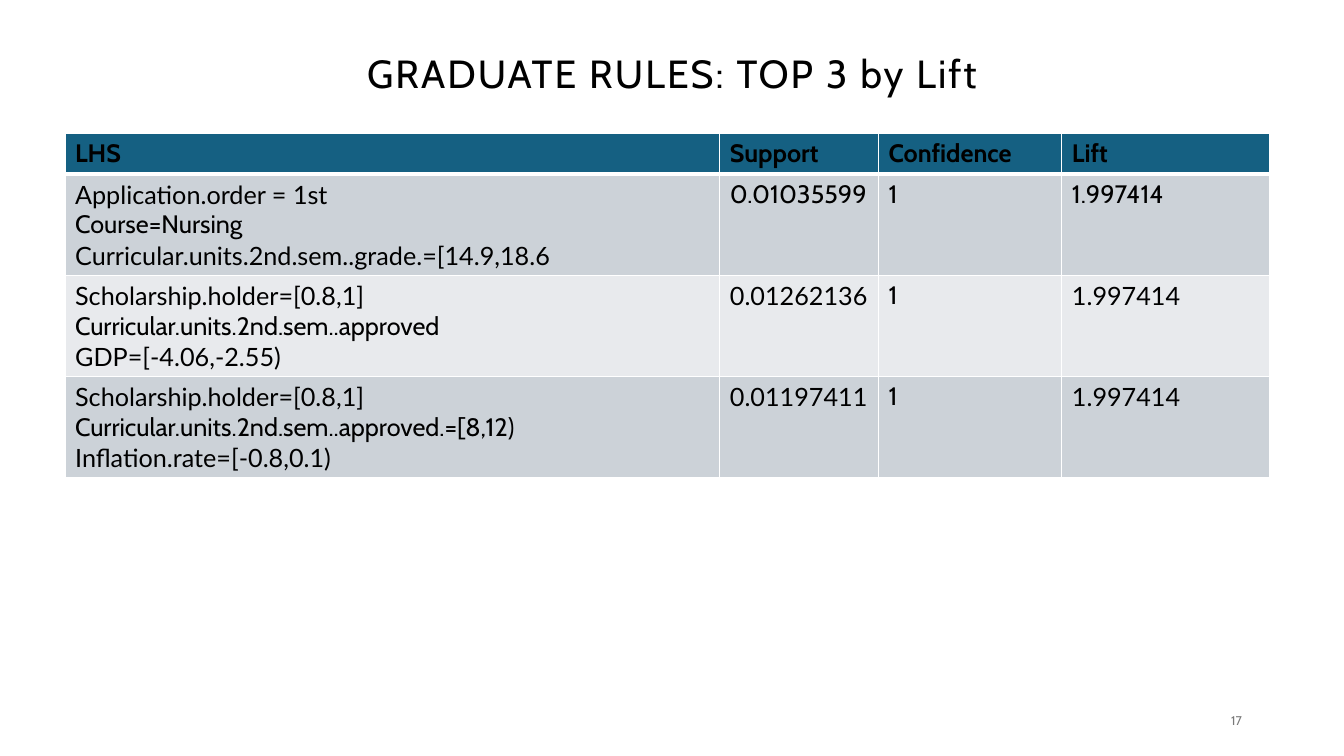
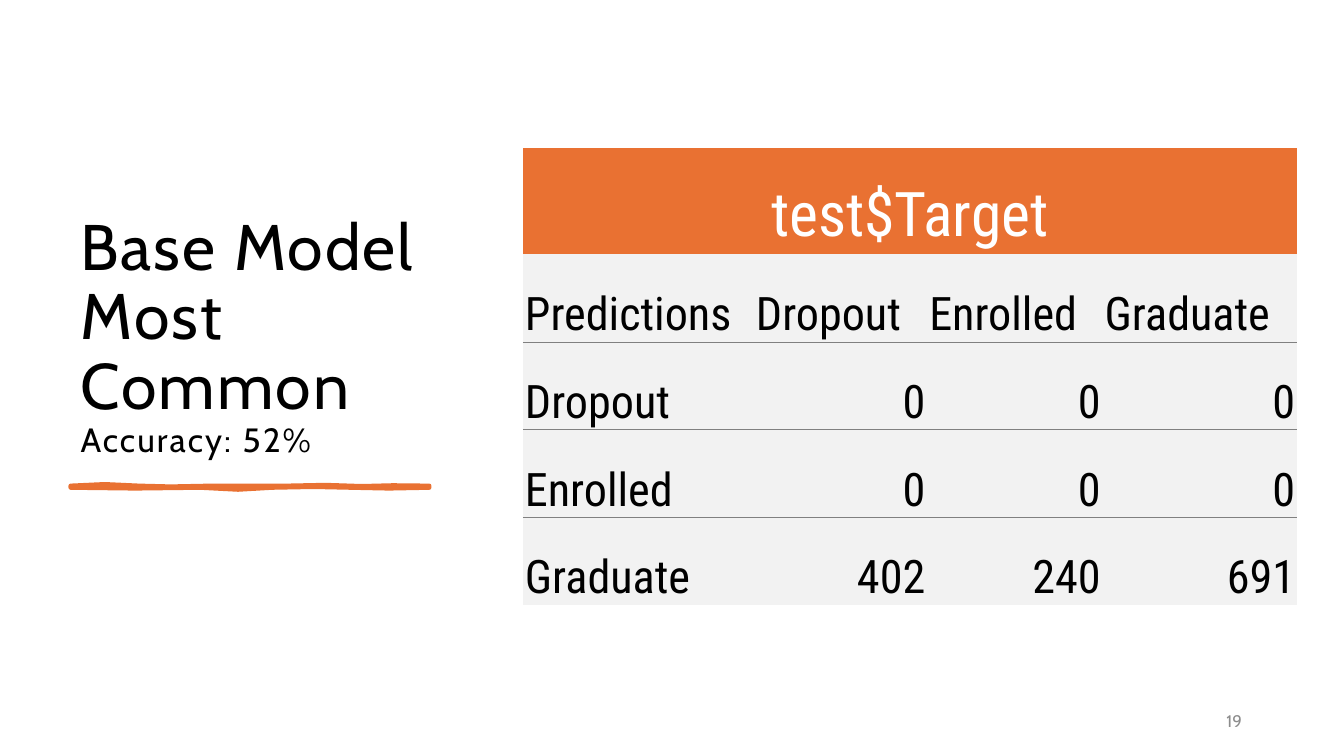
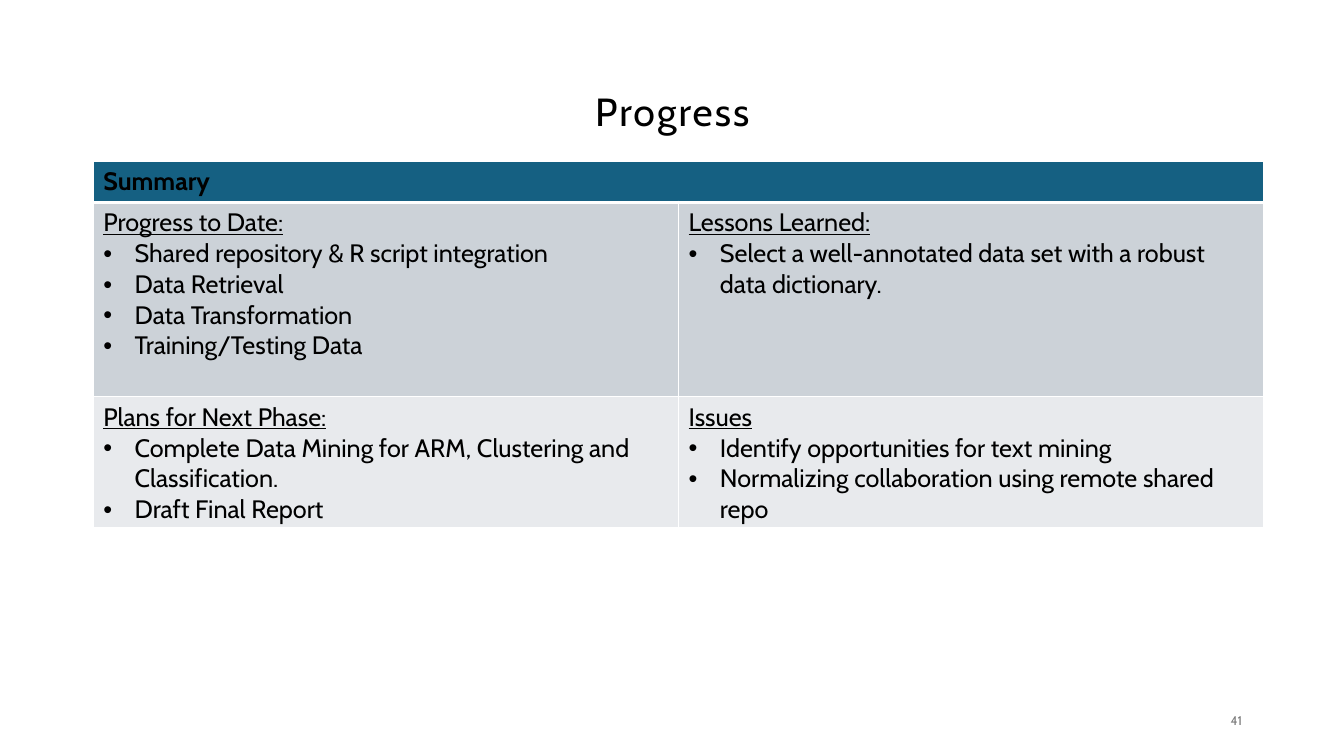
from lxml.etree import SubElement
from pptx import Presentation
from pptx.dml.color import RGBColor
from pptx.enum.text import MSO_ANCHOR as Anchor, PP_ALIGN as Align
from pptx.oxml.ns import qn
from pptx.util import Cm, Pt

color = RGBColor.from_string
BLACK, WHITE, ORANGE, GRAY = "000000", "FFFFFF", "E97132", "808080"
TEAL, BANDS, PALE = "156082", ("CCD2D8", "E8EAED"), "F2F2F2"
CABIN, LATO, ROBOTO = "Cabin", "Lato", "Roboto Condensed"
PLAIN_TABLE = "{2D5ABB26-0587-4C30-8999-92F81FD0307C}"


def add_span(para, text, size, hue=BLACK, font=CABIN):
    span = para.add_run()
    span.text = text
    span.font.size = Pt(size)
    span.font.name = font
    span.font.color.rgb = color(hue)
    return span


def style_cell(cell, fill, edges):
    properties = cell._tc.get_or_add_tcPr()
    for side, (hue, width) in edges.items():
        line = SubElement(properties, qn(f"a:ln{side}"), w=str(Pt(width)))
        SubElement(SubElement(line, qn("a:solidFill")), qn("a:srgbClr"), val=hue)
    cell.fill.solid()
    cell.fill.fore_color.rgb = color(fill)


deck = Presentation()
deck.slide_width, deck.slide_height = Cm(33.87), Cm(19.05)

headings = [
    ((2.34, 1.02, 29.21, 1.78), Anchor.MIDDLE, Align.CENTER,
     [("GRADUATE RULES: TOP 3 by Lift", 28)], ("17", 9, "797979")),
    ((1.78, 1.78, 9.93, 9.93), Anchor.BOTTOM, Align.LEFT,
     [("Base Model", 46), ("Most Common", 46), ("Accuracy: 52%", 24)], ("19", 12, "8C8C8C")),
    ((2.34, 1.02, 29.21, 3.68), Anchor.MIDDLE, Align.CENTER,
     [("Progress", 28)], ("41", 9, "797979")),
]
pages = []
for place, anchor, align, lines, number in headings:
    page = deck.slides.add_slide(deck.slide_layouts[6])
    pages.append(page)
    title = page.shapes.add_textbox(*map(Cm, place)).text_frame
    title.word_wrap = True
    title.vertical_anchor = anchor
    para = title.paragraphs[0]
    para.alignment = align
    para.line_spacing = 0.9
    for index, (text, size) in enumerate(lines):
        if index:
            para.add_line_break()
        span = add_span(para, text, size)
        span._r.get_or_add_rPr().set("spc", "150")
    footer = page.shapes.add_textbox(Cm(23.93), Cm(17.65), Cm(7.62), Cm(1.02)).text_frame
    footer.word_wrap = True
    footer.vertical_anchor = Anchor.MIDDLE
    footer.paragraphs[0].alignment = Align.RIGHT
    add_span(footer.paragraphs[0], *number)

rules_rows = [
    [[("LHS", CABIN)], [("Support", CABIN)], [("Confidence", CABIN)], [("Lift", CABIN)]],
    [[("Application.order = 1st", LATO), ("Course=Nursing", CABIN),
      ("Curricular.units.2nd.sem..grade.=[14.9,18.6", LATO)],
     [("0.01035599", CABIN)], [("1", CABIN)], [("1.997414", CABIN)]],
    [[("Scholarship.holder=[0.8,1]", LATO), ("Curricular.units.2nd.sem..approved", CABIN),
      ("GDP=[-4.06,-2.55)", LATO)],
     [("0.01262136", LATO)], [("1", CABIN)], [("1.997414", LATO)]],
    [[("Scholarship.holder=[0.8,1]", LATO), ("Curricular.units.2nd.sem..approved.=[8,12)", CABIN),
      ("Inflation.rate=[-0.8,0.1)", LATO)],
     [("0.01197411", LATO)], [("1", CABIN)], [("1.997414", LATO)]],
]
progress_texts = [
    [["Summary"], []],
    [["Progress to Date:", "Shared repository & R script integration", "Data Retrieval",
      "Data Transformation", "Training/Testing Data"],
     ["Lessons Learned:",
      "Select a well-annotated data set with a robust data dictionary."]],
    [["Plans for Next Phase:",
      "Complete Data Mining for ARM, Clustering and Classification.", "Draft Final Report"],
     ["Issues", "Identify opportunities for text mining",
      "Normalizing collaboration using remote shared repo"]],
]
progress_rows = [[[(text, CABIN) for text in texts] for texts in row] for row in progress_texts]

banded_tables = [
    (pages[0], 1.64, 3.36, [16.5, 4, 4.62, 5.23], [1.03, 2.55, 2.55, 2.55], rules_rows, False),
    (pages[2], 2.35, 4.07, [14.75, 14.75], [1.03, 4.9, 3.3], progress_rows, True),
]
for page, left, top, widths, heights, rows, is_summary in banded_tables:
    table = page.shapes.add_table(len(rows), len(widths), Cm(left), Cm(top),
                                  Cm(sum(widths)), Cm(sum(heights))).table
    table._tbl.tblPr.find(qn("a:tableStyleId")).text = PLAIN_TABLE
    table.first_row = table.horz_banding = False
    for column, width in zip(table.columns, widths):
        column.width = Cm(width)
    for row_index, (row, height) in enumerate(zip(rows, heights)):
        table.rows[row_index].height = Cm(height)
        for column_index, lines in enumerate(row):
            cell = table.cell(row_index, column_index)
            is_header = row_index == 0
            edges = {side: (WHITE, 1) for side in "LRTB"}
            if is_header:
                edges["B"] = (WHITE, 3)
            elif row_index == 1:
                edges["T"] = (WHITE, 3)
            style_cell(cell, TEAL if is_header else BANDS[(row_index - 1) % 2], edges)
            for line_index, (text, font) in enumerate(lines):
                frame = cell.text_frame
                para = frame.add_paragraph() if line_index else frame.paragraphs[0]
                span = add_span(para, text, 18, font=font)
                span.font.bold = is_header
                if is_summary and line_index:
                    bullet = para._p.get_or_add_pPr()
                    bullet.set("marL", str(Cm(0.79)))
                    bullet.set("indent", str(-Cm(0.79)))
                    SubElement(bullet, qn("a:buFont"), typeface="Arial")
                    SubElement(bullet, qn("a:buChar"), char="•")
                elif is_summary and not is_header:
                    span.font.underline = True
    if is_summary:
        table.cell(0, 0).merge(table.cell(0, 1))

page = pages[1]
stroke_points = [
    (1.78, 12.24), (2.64, 12.2), (3.51, 12.24), (4.3, 12.26), (5.31, 12.24), (7.21, 12.24),
    (8.2, 12.22), (9.12, 12.25), (9.9, 12.23), (10.82, 12.24), (10.82, 12.29), (9.8, 12.31),
    (8.84, 12.29), (7.9, 12.27), (6.86, 12.29), (6, 12.34), (5.05, 12.29), (3.4, 12.31),
    (1.78, 12.29),
]
points = [(Cm(x), Cm(y)) for x, y in stroke_points]
builder = page.shapes.build_freeform(*points[0])
builder.add_line_segments(points[1:], close=True)
brush = builder.convert_to_shape()
brush.shadow.inherit = False
brush.fill.solid()
brush.fill.fore_color.rgb = color(ORANGE)
brush.line.color.rgb = color(ORANGE)
brush.line.width = Pt(3)

matrix_rows = [
    ["test$Target", "", "", ""],
    ["Predictions", "Dropout", "Enrolled", "Graduate"],
    ["Dropout", "0", "0", "0"],
    ["Enrolled", "0", "0", "0"],
    ["Graduate", "402", "240", "691"],
]
widths, heights = [5.82, 4.37, 4.42, 4.9], [2.67] + [2.21] * 4
matrix = page.shapes.add_table(5, 4, Cm(13.18), Cm(3.74), Cm(sum(widths)), Cm(sum(heights))).table
matrix._tbl.tblPr.find(qn("a:tableStyleId")).text = PLAIN_TABLE
matrix.first_row = matrix.horz_banding = False
for column, width in zip(matrix.columns, widths):
    column.width = Cm(width)
for row_index, (row, height) in enumerate(zip(matrix_rows, heights)):
    matrix.rows[row_index].height = Cm(height)
    is_header = row_index == 0
    for column_index, text in enumerate(row):
        cell = matrix.cell(row_index, column_index)
        style_cell(cell, ORANGE if is_header else PALE,
                   {"B": (GRAY, 0.75)} if row_index in (1, 2, 3) else {})
        cell.margin_left = cell.margin_right = Cm(0.05)
        cell.margin_top, cell.margin_bottom = Cm(0.69), Cm(0)
        cell.vertical_anchor = Anchor.MIDDLE if is_header else Anchor.BOTTOM
        para = cell.text_frame.paragraphs[0]
        if is_header:
            para.alignment = Align.CENTER
        elif row_index > 1 and column_index:
            para.alignment = Align.RIGHT
        if text:
            add_span(para, text, 44 if is_header else 33, WHITE if is_header else BLACK, ROBOTO)
matrix.cell(0, 0).merge(matrix.cell(0, 3))

deck.save("out.pptx")
